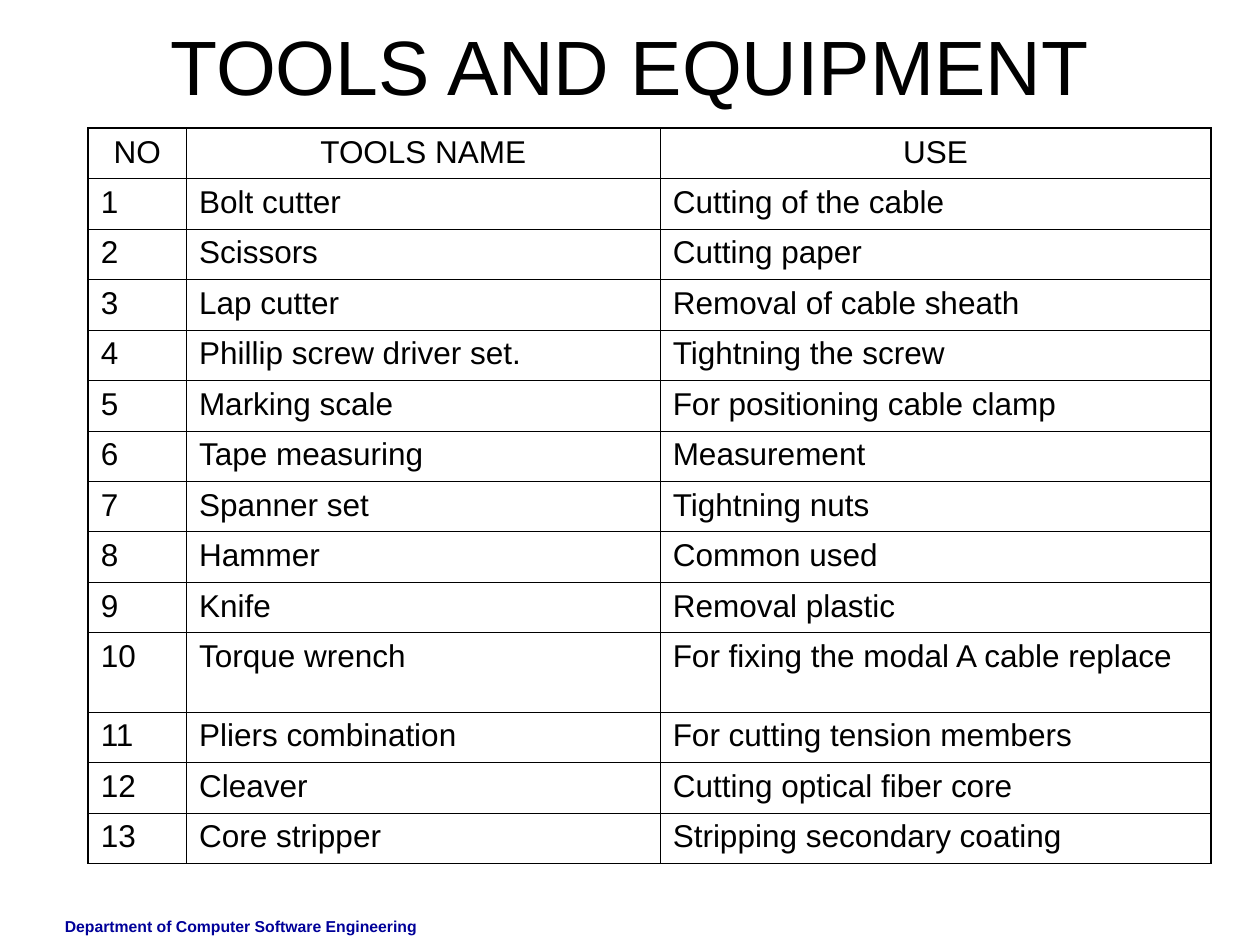
from lxml import etree
from pptx import Presentation
from pptx import util as u
from pptx.dml import color
from pptx.enum import text
from pptx.oxml import ns

Pt = u.Pt
HUES = {"ink": "000000", "paper": "FFFFFF", "foot": "000099"}
LEFT, MID = text.PP_ALIGN.LEFT, text.PP_ALIGN.CENTER
THIN, THICK = 0.45, 1.08
PADS = {"margin_left": Pt(7.2), "margin_right": Pt(7.2),
        "margin_top": Pt(3.6), "margin_bottom": Pt(3.6)}
HEADS = ("NO", "TOOLS NAME", "USE")
TOOLS = [
    ("Bolt cutter", "Cutting of the cable"),
    ("Scissors", "Cutting paper"),
    ("Lap cutter", "Removal of cable sheath"),
    ("Phillip screw driver set.", "Tightning the screw"),
    ("Marking scale", "For positioning cable clamp"),
    ("Tape measuring", "Measurement"),
    ("Spanner set", "Tightning nuts"),
    ("Hammer", "Common used"),
    ("Knife", "Removal plastic"),
    ("Torque wrench", "For fixing the modal A cable replace"),
    ("Pliers combination", "For cutting tension members"),
    ("Cleaver", "Cutting optical fiber core"),
    ("Core stripper", "Stripping secondary coating"),
]
WIDTHS = (56.16, 270.72, 314.64)
ROW, TALL = 28.8, 45.36
TALL_ROW = 10


def style(item, values):
    for name, value in values.items():
        setattr(item, name, value)


def place(shape, box):
    style(shape, dict(zip(("left", "top", "width", "height"), map(Pt, box))))


def write(frame, words, size, align=LEFT, hue="ink", bold=False):
    frame.text = words
    para = frame.paragraphs[0]
    para.alignment = align
    style(para.font, {"name": "Arial", "size": Pt(size), "bold": bold})
    para.font.color.rgb = color.RGBColor.from_string(HUES[hue])


def rule(cell, widths):
    props = cell._tc.get_or_add_tcPr()
    for spot, (side, width) in enumerate(widths.items()):
        line = etree.Element(ns.qn(f"a:ln{side}"), w=str(int(Pt(width))))
        fill = etree.SubElement(line, ns.qn("a:solidFill"))
        etree.SubElement(fill, ns.qn("a:srgbClr"), val=HUES["ink"])
        props.insert(spot, line)


def add_title(slide, box):
    title = slide.shapes.title
    place(title, box)
    style(title.text_frame, {**PADS, "word_wrap": True,
                             "auto_size": text.MSO_AUTO_SIZE.NONE,
                             "vertical_anchor": text.MSO_ANCHOR.MIDDLE})
    write(title.text_frame, "TOOLS AND EQUIPMENT", 44, MID)


def add_tools(slide, box):
    rows = [HEADS] + [(str(n), *tool) for n, tool in enumerate(TOOLS, 1)]
    last, edge = len(rows) - 1, len(HEADS) - 1
    table = slide.shapes.add_table(len(rows), len(HEADS), *map(Pt, box)).table
    style(table, {"first_row": False, "horz_banding": False})
    for col, width in zip(table.columns, WIDTHS):
        col.width = Pt(width)
    for r, words in enumerate(rows):
        table.rows[r].height = Pt(TALL if r == TALL_ROW else ROW)
        for c, word in enumerate(words):
            cell = table.cell(r, c)
            style(cell, PADS)
            cell.fill.solid()
            cell.fill.fore_color.rgb = color.RGBColor.from_string(HUES["paper"])
            write(cell.text_frame, word, 18, LEFT if r else MID)
            rule(cell, {"L": THIN if c else THICK,
                        "R": THICK if c == edge else THIN,
                        "T": THIN if r else THICK,
                        "B": THICK if r == last else THIN})


def add_foot(slide, box):
    foot = slide.shapes.add_textbox(*map(Pt, box))
    style(foot.text_frame, {**PADS, "word_wrap": True})
    write(foot.text_frame, "Department of Computer Software Engineering",
          9, hue="foot", bold=True)


def main():
    deck = Presentation()
    style(deck, {"slide_width": Pt(720), "slide_height": Pt(540)})
    slide = deck.slides.add_slide(deck.slide_layouts[5])
    add_foot(slide, (30, 520.5, 222, 19.5))
    add_title(slide, (36, -8, 648, 90))
    add_tools(slide, (50.4, 73.25, sum(WIDTHS), ROW * len(TOOLS) + TALL))
    deck.save("out.pptx")


if __name__ == "__main__":
    main()
